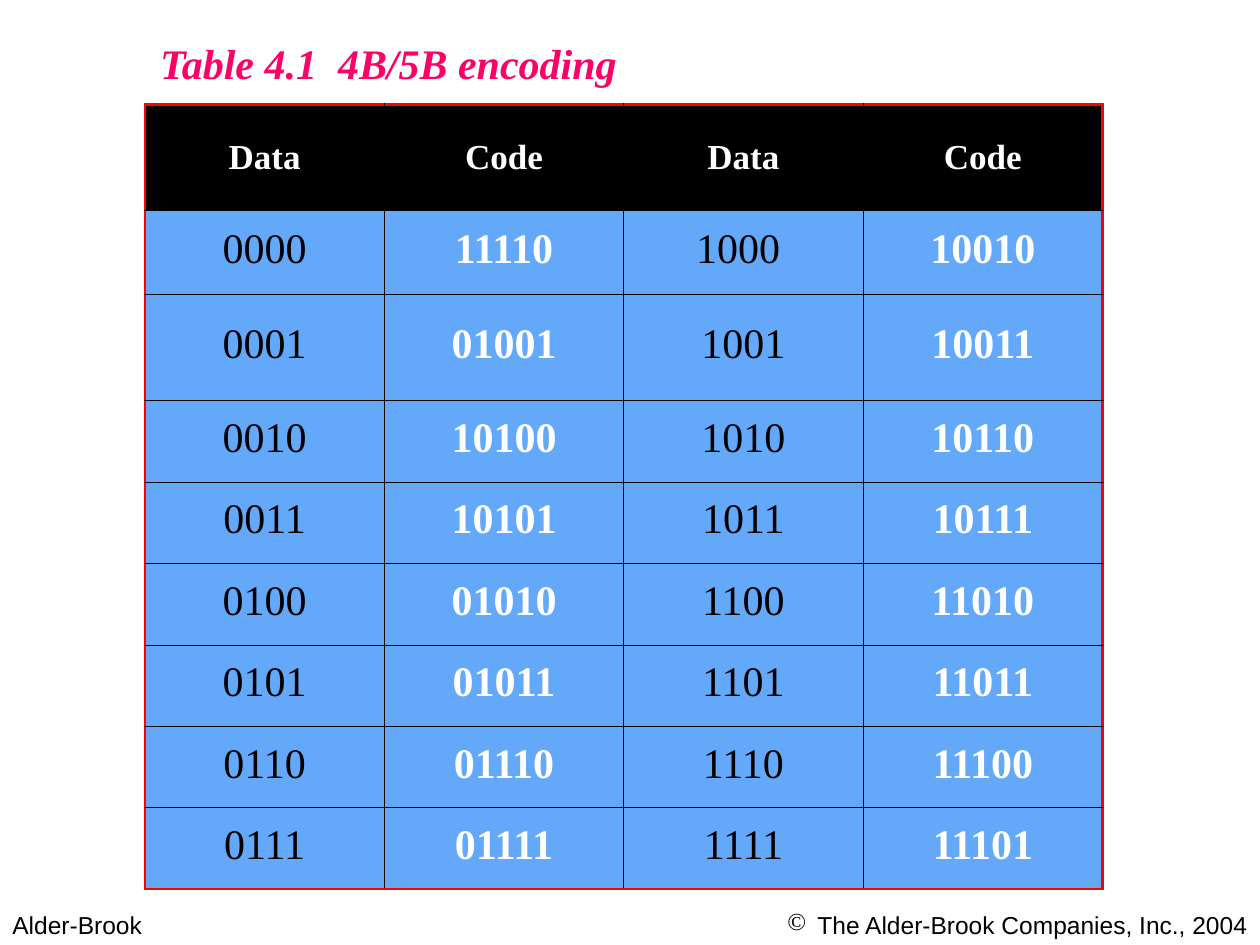
import pptx
import pptx.dml.color
import pptx.enum.text
import pptx.oxml
import pptx.oxml.ns
import pptx.util

Inches = pptx.util.Inches
Pt = pptx.util.Pt
Align = pptx.enum.text.PP_ALIGN
Anchor = pptx.enum.text.MSO_ANCHOR

COLORS = {
    "title": "FF0066",
    "dark": "000000",
    "light": "FFFFFF",
    "body": "64A8FA",
    "frame": "FF0000",
}
SERIF = "Times New Roman"
SANS = "Arial"
HEADINGS = ["Data", "Code", "Data", "Code"]
ENCODING = [
    ["0000", "11110", "1000 ", "10010"],
    ["0001", "01001", "1001", "10011"],
    ["0010", "10100", "1010", "10110"],
    ["0011", "10101", "1011", "10111"],
    ["0100", "01010", "1100", "11010"],
    ["0101", "01011", "1101", "11011"],
    ["0110", "01110", "1110", "11100"],
    ["0111", "01111", "1111", "11101"],
]


def rgb(name):
    return pptx.dml.color.RGBColor.from_string(COLORS[name])


def write(frame, text, *, size, font=SERIF, color="dark", bold=False, italic=False,
          align=Align.LEFT, before=0, line=1.0):
    paragraph = frame.paragraphs[0]
    paragraph.alignment = align
    paragraph.space_before = Pt(before)
    paragraph.line_spacing = line
    run = paragraph.add_run()
    run.text = text
    run.font.name = font
    run.font.size = Pt(size)
    run.font.bold = bold
    run.font.italic = italic
    run.font.color.rgb = rgb(color)
    return paragraph


def add_bullet(paragraph, char, indent):
    properties = paragraph._p.get_or_add_pPr()
    properties.set("marL", str(indent))
    properties.set("indent", str(-indent))
    bullet = pptx.oxml.parse_xml(
        f'<a:buChar {pptx.oxml.ns.nsdecls("a")} char="{char}"/>')
    properties.append(bullet)


def add_border(cell, side, color, width):
    border = pptx.oxml.parse_xml(
        f'<a:ln{side} {pptx.oxml.ns.nsdecls("a")} w="{Pt(width)}">'
        f'<a:solidFill><a:srgbClr val="{COLORS[color]}"/></a:solidFill></a:ln{side}>')
    cell._tc.get_or_add_tcPr().append(border)


def place_title(slide, left, top, width, height):
    title = slide.shapes.title
    title.left, title.top, title.width, title.height = left, top, width, height
    frame = title.text_frame
    frame.word_wrap = False
    frame.auto_size = pptx.enum.text.MSO_AUTO_SIZE.SHAPE_TO_FIT_TEXT
    frame.vertical_anchor = Anchor.TOP
    write(frame, "Table 4.1  4B/5B encoding", size=24, color="title", bold=True, italic=True)


def place_encoding_table(slide, left, top, width, height):
    rows = [HEADINGS] + ENCODING
    last_row, last_column = len(rows) - 1, len(HEADINGS) - 1
    table = slide.shapes.add_table(len(rows), len(HEADINGS), left, top, width, height).table
    for column in table.columns:
        column.width = int(width / len(HEADINGS))

    tall_rows = {0: Inches(0.84), 1: Inches(0.67), 2: Inches(0.84)}
    even_height = int((height - sum(tall_rows.values())) / (len(rows) - len(tall_rows)))
    for r, values in enumerate(rows):
        table.rows[r].height = tall_rows.get(r, even_height)
        for c, value in enumerate(values):
            cell = table.cell(r, c)
            cell.vertical_anchor = Anchor.MIDDLE
            outer_sides = {"L": c == 0, "R": c == last_column, "T": r == 0, "B": r == last_row}
            for side, is_outer in outer_sides.items():
                add_border(cell, side, *(("frame", 1.47) if is_outer else ("dark", 0.45)))
            cell.fill.solid()
            cell.fill.fore_color.rgb = rgb("dark" if r == 0 else "body")
            if r == 0:
                write(cell.text_frame, value, size=20, color="light", bold=True,
                      align=Align.CENTER, before=5)
            else:
                is_code = c % 2 == 1
                write(cell.text_frame, value, size=24, color="light" if is_code else "dark",
                      bold=is_code, align=Align.CENTER, line=0.8)


def place_footer(slide, left, top, width, height, text, align=Align.LEFT, bullet=None):
    frame = slide.shapes.add_textbox(left, top, width, height).text_frame
    frame.word_wrap = True
    frame.auto_size = pptx.enum.text.MSO_AUTO_SIZE.SHAPE_TO_FIT_TEXT
    paragraph = write(frame, text, size=14, font=SANS, align=align, before=8.8)
    if bullet:
        add_bullet(paragraph, bullet, Inches(0.24))


def main():
    deck = pptx.Presentation()
    deck.slide_width, deck.slide_height = Inches(10), Inches(7.5)
    slide = deck.slides.add_slide(deck.slide_layouts[5])
    place_footer(slide, Inches(0), Inches(7.17), Inches(2.42), Inches(0.34), "Alder-Brook")
    place_footer(slide, Inches(5), Inches(7.17), Inches(5), Inches(0.34),
                 "The Alder-Brook Companies, Inc., 2004", align=Align.RIGHT, bullet="©")
    place_title(slide, Inches(1.17), Inches(0.25), Inches(3.86), Inches(0.5))
    place_encoding_table(slide, Inches(1.15), Inches(0.83), Inches(7.6), Inches(6.23))
    deck.save("out.pptx")


if __name__ == "__main__":
    main()
